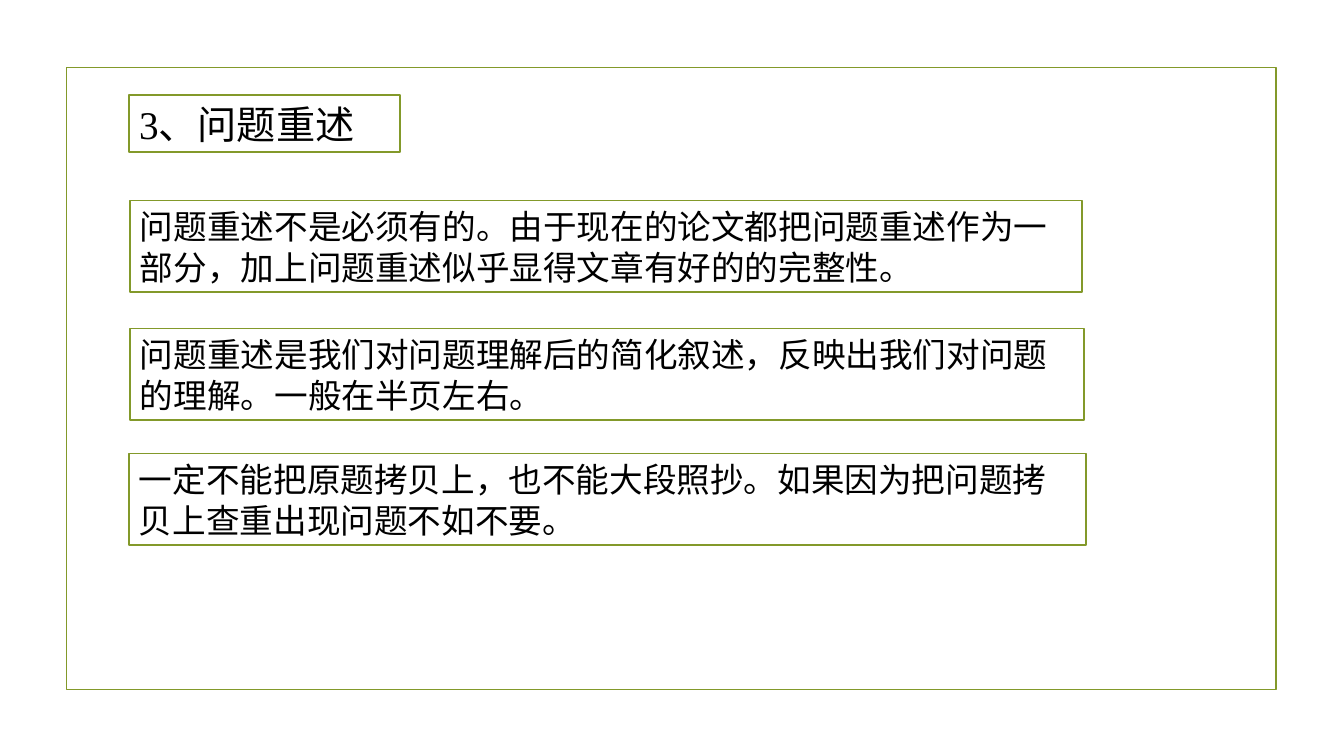
from lxml.etree import SubElement
from pptx import Presentation
from pptx.dml.color import RGBColor
from pptx.enum.lang import MSO_LANGUAGE_ID as LANG
from pptx.enum.shapes import MSO_SHAPE as SHAPE
from pptx.enum.text import MSO_ANCHOR as ANCHOR, PP_ALIGN as ALIGN
from pptx.oxml.ns import qn
from pptx.util import Inches, Pt

COLORS = {"olive": "83992A", "white": "FFFFFF", "black": "000000"}
SERIF = "Times New Roman"
SANS = "Noto Sans CJK JP"

# Left, top, width, font and text of each note
NOTES = [
    (1.29, 1.99, 9.44, SERIF,
     "问题重述不是必须有的。由于现在的论文都把问题重述作为一部分，加上问题重述似乎显得文章有好的的完整性。"),
    (1.29, 3.26, 9.46, SERIF,
     "问题重述是我们对问题理解后的简化叙述，反映出我们对问题的理解。一般在半页左右。"),
    (1.28, 4.5, 9.49, SANS,
     "一定不能把原题拷贝上，也不能大段照抄。如果因为把问题拷贝上查重出现问题不如不要。"),
]
NOTE_HEIGHT = 0.91


def color(name):
    return RGBColor.from_string(COLORS[name])


def outline(sp, fill=None):
    """Give a shape the olive border and an optional fill."""
    if fill:
        sp.fill.solid()
        sp.fill.fore_color.rgb = color(fill)
    else:
        sp.fill.background()
    sp.line.color.rgb = color("olive")
    sp.line.width = Pt(1.25)


def write(sp, text, size=24, font=SERIF, spacing=1.2):
    """Put left-aligned black text into a shape."""
    tf = sp.text_frame
    tf.word_wrap = True
    tf.vertical_anchor = ANCHOR.MIDDLE
    p = tf.paragraphs[0]
    p.alignment = ALIGN.LEFT
    p.line_spacing = Pt(size * spacing)
    r = p.add_run()
    r.text = text
    r.font.size = Pt(size)
    r.font.color.rgb = color("black")
    r.font.name = font
    r.font.language_id = LANG.SIMPLIFIED_CHINESE
    SubElement(r.font._element, qn("a:ea"), typeface=SANS)


def add_rect(s, left, top, width, height, fill=None):
    sp = s.shapes.add_shape(SHAPE.RECTANGLE, Inches(left), Inches(top),
                            Inches(width), Inches(height))
    sp.shadow.inherit = False
    outline(sp, fill)
    return sp


def place_title(s, text, left, top, width, height):
    sp = s.shapes.title
    sp.left, sp.top = Inches(left), Inches(top)
    sp.width, sp.height = Inches(width), Inches(height)
    outline(sp, "white")
    write(sp, text, size=28)


def main():
    prs = Presentation()
    prs.slide_width, prs.slide_height = Inches(13.33), Inches(7.5)
    s = prs.slides.add_slide(prs.slide_layouts[5])

    # Frame and heading
    add_rect(s, 0.66, 0.67, 12, 6.17)
    place_title(s, "3、问题重述", 1.28, 0.94, 2.69, 0.57)

    # Notes
    for left, top, width, font, text in NOTES:
        sp = add_rect(s, left, top, width, NOTE_HEIGHT, fill="white")
        write(sp, text, font=font)

    prs.save("out.pptx")


if __name__ == "__main__":
    main()
